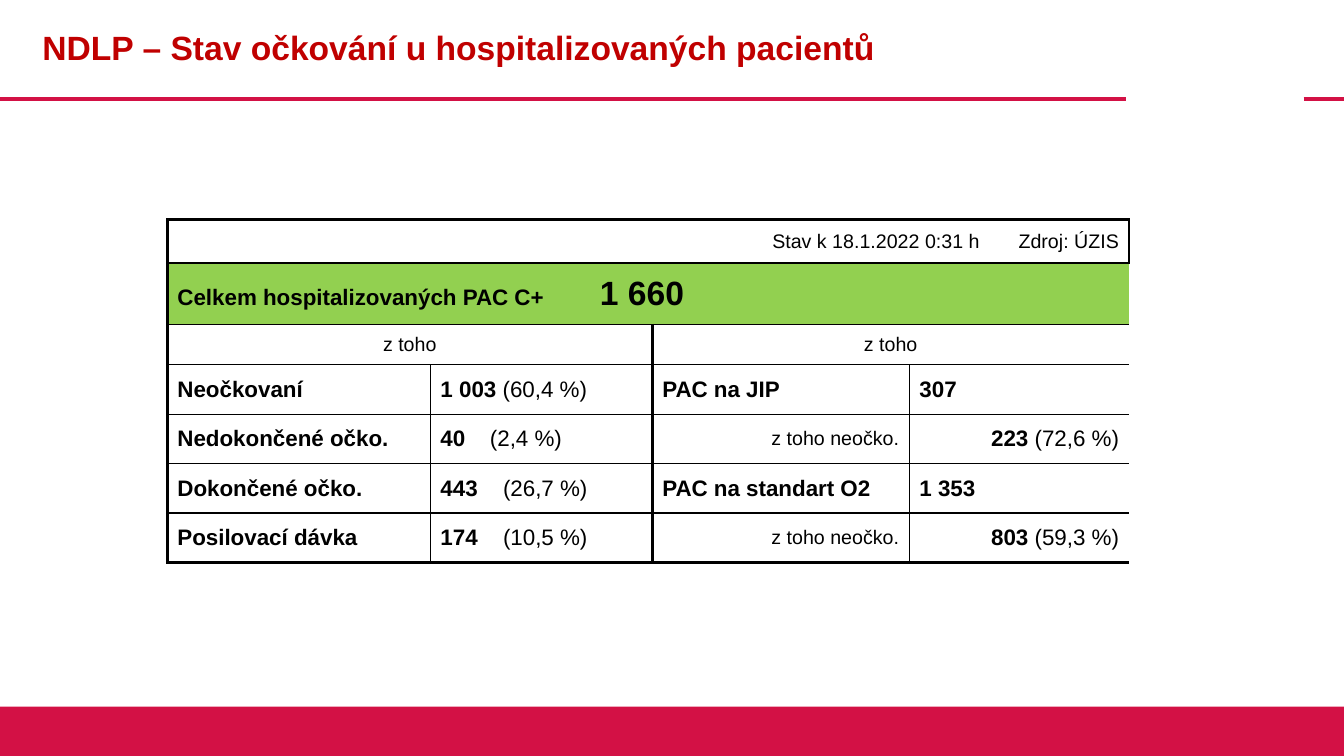
from dataclasses import dataclass

import pptx
import pptx.dml.color
import pptx.enum.shapes
import pptx.enum.text
import pptx.oxml.ns
import pptx.util
from lxml import etree

Inches = pptx.util.Inches
Pt = pptx.util.Pt
qualified = pptx.oxml.ns.qn
ALIGN = pptx.enum.text.PP_ALIGN
LEFT, CENTER, RIGHT = ALIGN.LEFT, ALIGN.CENTER, ALIGN.RIGHT
MIDDLE = pptx.enum.text.MSO_ANCHOR.MIDDLE


@dataclass(frozen=True)
class Theme:
    font: str = "Arial"
    accent: str = "D31145"
    title: str = "C00000"
    ink: str = "000000"
    total: str = "92D050"
    title_size: int = 24
    total_size: int = 24
    body_size: int = 16
    note_size: int = 14
    rule: float = 3
    thick: float = 2.25
    thin: float = 1


THEME = Theme()


def color(value):
    return pptx.dml.color.RGBColor.from_string(value)


def add_text(paragraph, text, size=THEME.body_size, bold=False, ink=THEME.ink):
    run = paragraph.add_run()
    run.text = text
    run.font.name = THEME.font
    run.font.size = Pt(size)
    run.font.bold = bold
    run.font.color.rgb = color(ink)


def add_tab_stop(paragraph, position):
    properties = paragraph._p.get_or_add_pPr()
    tabs = etree.SubElement(properties, qualified("a:tabLst"))
    etree.SubElement(tabs, qualified("a:tab"), pos=str(Inches(position)), algn="l")


def set_border(cell, side, width):
    properties = cell._tc.get_or_add_tcPr()
    line = etree.SubElement(properties, qualified(f"a:ln{side}"), w=str(Pt(width)))
    if width:
        fill = etree.SubElement(line, qualified("a:solidFill"))
        etree.SubElement(fill, qualified("a:srgbClr"), val=THEME.ink)
    else:
        etree.SubElement(line, qualified("a:noFill"))


@dataclass
class Entry:
    """One table entry: runs are (text, format) pairs."""
    span: int
    runs: tuple = ()
    align: ALIGN = LEFT
    tab: float = 0
    fill: str = ""


class SlideBuilder:
    def __init__(self, slide, theme):
        self.slide = slide
        self.theme = theme

    def title(self, text, left, top, width, height):
        shape = self.slide.shapes.title
        shape.left, shape.top = Inches(left), Inches(top)
        shape.width, shape.height = Inches(width), Inches(height)
        frame = shape.text_frame
        frame.word_wrap = True
        frame.vertical_anchor = MIDDLE
        paragraph = frame.paragraphs[0]
        paragraph.alignment = LEFT
        paragraph.line_spacing = 0.9
        add_text(paragraph, text, self.theme.title_size, True, self.theme.title)

    def rule(self, start, end, y):
        connector = self.slide.shapes.add_connector(
            pptx.enum.shapes.MSO_CONNECTOR.STRAIGHT,
            Inches(start), Inches(y), Inches(end), Inches(y))
        connector.line.color.rgb = color(self.theme.accent)
        connector.line.width = Pt(self.theme.rule)
        etree.SubElement(connector._element.spPr, qualified("a:effectLst"))

    def band(self, left, top, width, height):
        shape = self.slide.shapes.add_shape(
            pptx.enum.shapes.MSO_SHAPE.RECTANGLE,
            Inches(left), Inches(top), Inches(width), Inches(height))
        shape.shadow.inherit = False
        shape.fill.solid()
        shape.fill.fore_color.rgb = color(self.theme.accent)
        shape.line.fill.background()

    def table(self, left, top, widths, heights, rows):
        table = self.slide.shapes.add_table(
            len(heights), len(widths), Inches(left), Inches(top),
            Inches(sum(widths)), Inches(sum(heights))).table
        table.first_row = table.horz_banding = False
        for column, width in zip(table.columns, widths):
            column.width = Inches(width)
        for row, height in zip(table.rows, heights):
            row.height = Inches(height)
        for row_index, entries in enumerate(rows):
            start = 0
            for entry in entries:
                self.entry(table, row_index, start, entry)
                start += entry.span

    def entry(self, table, row, start, entry):
        cell = table.cell(row, start)
        end = start + entry.span
        if entry.span > 1:
            cell.merge(table.cell(row, end - 1))
        cell.vertical_anchor = MIDDLE
        paragraph = cell.text_frame.paragraphs[0]
        paragraph.alignment = entry.align
        if entry.tab:
            add_tab_stop(paragraph, entry.tab)
        for text, style in entry.runs:
            add_text(paragraph, text, **style)

        # Thick frame and centre divider, no dividers in the source row
        thick, thin = self.theme.thick, self.theme.thin
        last_row, last_column = len(table.rows) - 1, len(table.columns)

        def vertical(edge):
            if edge in (0, last_column) or (edge == 3 and row > 0):
                return thick
            return thin if row > 0 else 0

        for column in range(start, end):
            part = table.cell(row, column)
            set_border(part, "L", vertical(start) if column == start else 0)
            set_border(part, "R", vertical(end) if column == end - 1 else 0)
            set_border(part, "T", thick if row == 0 else thin)
            set_border(part, "B", thick if row == last_row else thin)
            if entry.fill:
                part.fill.solid()
                part.fill.fore_color.rgb = color(entry.fill)
            else:
                part.fill.background()


BOLD = {"bold": True}
NOTE = {"size": THEME.note_size}
PLAIN = {}


def status_row(label, count, share, tab, care, care_entry):
    return [Entry(2, ((label, BOLD),)),
            Entry(1, ((count, BOLD), (share, PLAIN)), tab=tab),
            care, care_entry]


def care_total(label, count):
    return Entry(1, ((label, BOLD),)), Entry(2, ((count, BOLD),))


def unvaccinated(count, share):
    return (Entry(1, (("z toho neočko.", NOTE),), RIGHT),
            Entry(2, ((count, BOLD), (share, PLAIN)), RIGHT))


def main():
    presentation = pptx.Presentation()
    presentation.slide_width = Inches(13.33)
    presentation.slide_height = Inches(7.5)
    slide = presentation.slides.add_slide(presentation.slide_layouts[5])
    builder = SlideBuilder(slide, THEME)

    # Header and footer
    builder.rule(0, 11.17, 0.98)
    builder.rule(12.93, 13.33, 0.98)
    builder.band(0, 7.01, 13.33, 0.49)
    builder.title("NDLP – Stav očkování u hospitalizovaných pacientů", 0.32, 0, 10.81, 0.98)

    # Hospitalisation table
    of_which = Entry(3, (("z toho", NOTE),), CENTER)
    total = (("Celkem hospitalizovaných PAC C+\t", BOLD),
             ("1 660", {"size": THEME.total_size, "bold": True}))
    rows = [
        [Entry(1), Entry(2), Entry(2, (("Stav k 18.1.2022 0:31 h", NOTE),), RIGHT),
         Entry(1, (("Zdroj: ÚZIS", NOTE),), RIGHT)],
        [Entry(6, total, tab=4.19, fill=THEME.total)],
        [of_which, of_which],
        status_row("Neočkovaní", "1 003 ", "(60,4 %)", 0, *care_total("PAC na JIP", "307")),
        status_row("Nedokončené očko.", "40\t", "(2,4 %)", 0.49, *unvaccinated("223", " (72,6 %)")),
        status_row("Dokončené očko.", "443\t", "(26,7 %)", 0.62,
                   *care_total("PAC na standart O2", "1 353")),
        status_row("Posilovací dávka", "174\t", "(10,5 %)", 0.62, *unvaccinated("803 ", "(59,3 %)")),
    ]
    builder.table(1.66, 2.18, [2.37, 0.16, 2.2, 2.55, 0.8, 1.38],
                  [0.43, 0.61, 0.4] + [0.49] * 4, rows)
    presentation.save("out.pptx")


if __name__ == "__main__":
    main()
